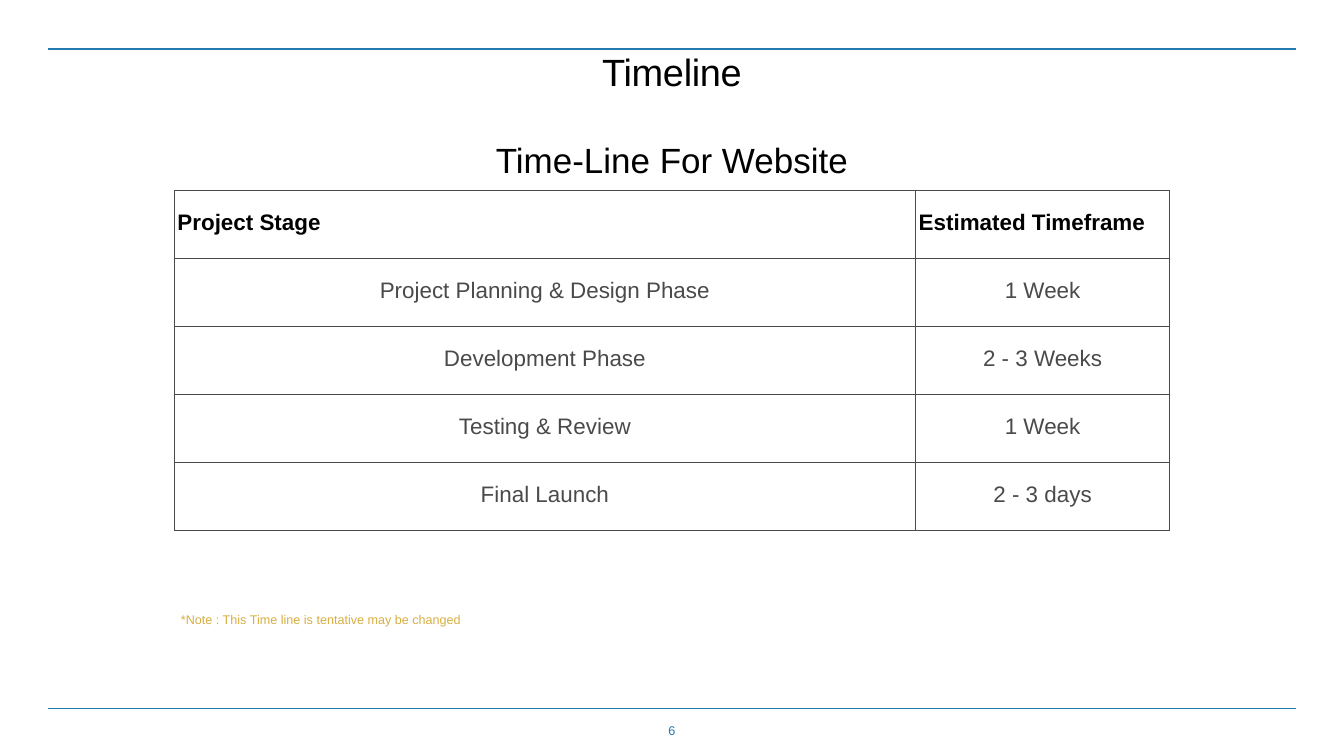
from dataclasses import dataclass

from lxml.etree import SubElement
from pptx import Presentation
from pptx.dml.color import RGBColor
from pptx.enum.shapes import MSO_CONNECTOR
from pptx.enum.text import MSO_ANCHOR, MSO_AUTO_SIZE, PP_ALIGN
from pptx.oxml.ns import qn
from pptx.util import Pt


@dataclass(frozen=True)
class Theme:
    font: str = "Arial"
    blue: str = "227AAF"
    black: str = "000000"
    gray: str = "4A4A4B"
    gold: str = "D9AF42"
    title: float = 54.2
    heading: float = 50
    table: float = 32
    small: float = 18
    inset: float = 4.5
    tight: float = 0.8


class SlideBuilder:
    def __init__(self, page, theme):
        self.page = page
        self.theme = theme

    def apply(self, target, values):
        for name, value in values.items():
            setattr(target, name, value)

    def add_span(self, frame, text, size, color, align, spacing, bold=False):
        para = frame.paragraphs[0]
        self.apply(para, {"alignment": align, "line_spacing": spacing, "space_before": Pt(0)})
        span = para.add_run()
        span.text = text
        self.apply(span.font, {"name": self.theme.font, "size": Pt(size), "bold": bold})
        span.font.color.rgb = RGBColor.from_string(color)
        return span

    def margins(self):
        sides = ("left", "top", "right", "bottom")
        return {f"margin_{side}": Pt(self.theme.inset) for side in sides}

    def frame(self, box, anchor):
        values = {"word_wrap": True, "auto_size": MSO_AUTO_SIZE.NONE, "vertical_anchor": anchor}
        self.apply(box.text_frame, self.margins() | values)
        return box.text_frame

    def title(self, text, left, top, width, height):
        box = self.page.shapes.title
        places = {"left": left, "top": top, "width": width, "height": height}
        self.apply(box, {name: Pt(value) for name, value in places.items()})
        frame = self.frame(box, MSO_ANCHOR.TOP)
        theme = self.theme
        span = self.add_span(
            frame, text, theme.title, theme.black, PP_ALIGN.CENTER, theme.tight
        )
        span._r.get_or_add_rPr().set("spc", "-50")

    def text(self, text, left, top, width, height, color, align, anchor, spacing):
        box = self.page.shapes.add_textbox(Pt(left), Pt(top), Pt(width), Pt(height))
        frame = self.frame(box, anchor)
        self.add_span(frame, text, self.theme.small, color, align, spacing)

    def rule(self, left, right, top, weight):
        line = self.page.shapes.add_connector(
            MSO_CONNECTOR.STRAIGHT, Pt(left), Pt(top), Pt(right), Pt(top)
        )
        line.line.width = Pt(weight)
        line.line.color.rgb = RGBColor.from_string(self.theme.blue)
        SubElement(line._element.spPr, qn("a:effectLst"))

    def borders(self, cell, visible):
        properties = cell._tc.get_or_add_tcPr()
        for side in "LRTB":
            edge = SubElement(properties, qn(f"a:ln{side}"), w=str(Pt(1)))
            if side in visible:
                fill = SubElement(edge, qn("a:solidFill"))
                SubElement(fill, qn("a:srgbClr"), val=self.theme.gray)
            else:
                SubElement(edge, qn("a:noFill"))

    def cell(self, cell, text, size, color, align, visible="LRTB", bold=False):
        self.borders(cell, visible)
        cell.fill.background()
        self.apply(cell, self.margins() | {"vertical_anchor": MSO_ANCHOR.MIDDLE})
        if text:
            self.add_span(cell.text_frame, text, size, color, align, self.theme.tight, bold)

    def table(self, heading, header, rows, left, top, widths, heights):
        theme = self.theme
        table = self.page.shapes.add_table(
            len(heights), len(widths), Pt(left), Pt(top), Pt(sum(widths)), Pt(sum(heights))
        ).table
        self.apply(table, {"first_row": False, "horz_banding": False})
        for column, width in zip(table.columns, widths):
            column.width = Pt(width)
        for row, height in zip(table.rows, heights):
            row.height = Pt(height)
        table.cell(0, 0).merge(table.cell(0, len(widths) - 1))
        for column, text in enumerate((heading, "")):
            self.cell(
                table.cell(0, column), text, theme.heading, theme.black, PP_ALIGN.CENTER, "B"
            )
        for column, text in enumerate(header):
            self.cell(
                table.cell(1, column), text, theme.table, theme.black, PP_ALIGN.LEFT, bold=True
            )
        for index, row in enumerate(rows, 2):
            for column, text in enumerate(row):
                self.cell(
                    table.cell(index, column), text, theme.table, theme.gray, PP_ALIGN.CENTER
                )


def main():
    deck = Presentation()
    deck.slide_width, deck.slide_height = Pt(1920), Pt(1080)
    theme = Theme()
    builder = SlideBuilder(deck.slides.add_slide(deck.slide_layouts[5]), theme)
    for top, weight in ((70, 4), (1012, 1)):
        builder.rule(68, 1852, top, weight)
    builder.title("Timeline", 136, 77, 1648, 81)
    stages = (
        ("Project Planning & Design Phase", "1 Week"),
        ("Development Phase", "2 - 3 Weeks"),
        ("Testing & Review", "1 Week"),
        ("Final Launch", "2 - 3 days"),
    )
    builder.table(
        "Time-Line For Website", ("Project Stage", "Estimated Timeframe"), stages,
        249, 196, (1059, 363), [76] + [97.2] * (len(stages) + 1),
    )
    builder.text(
        "6", 950, 1026, 20, 33, theme.blue, PP_ALIGN.CENTER, MSO_ANCHOR.BOTTOM, 1.0
    )
    builder.text(
        "*Note : This Time line is tentative may be changed", 254, 870, 422, 33,
        theme.gold, PP_ALIGN.LEFT, MSO_ANCHOR.MIDDLE, theme.tight,
    )
    deck.save("out.pptx")


if __name__ == "__main__":
    main()
